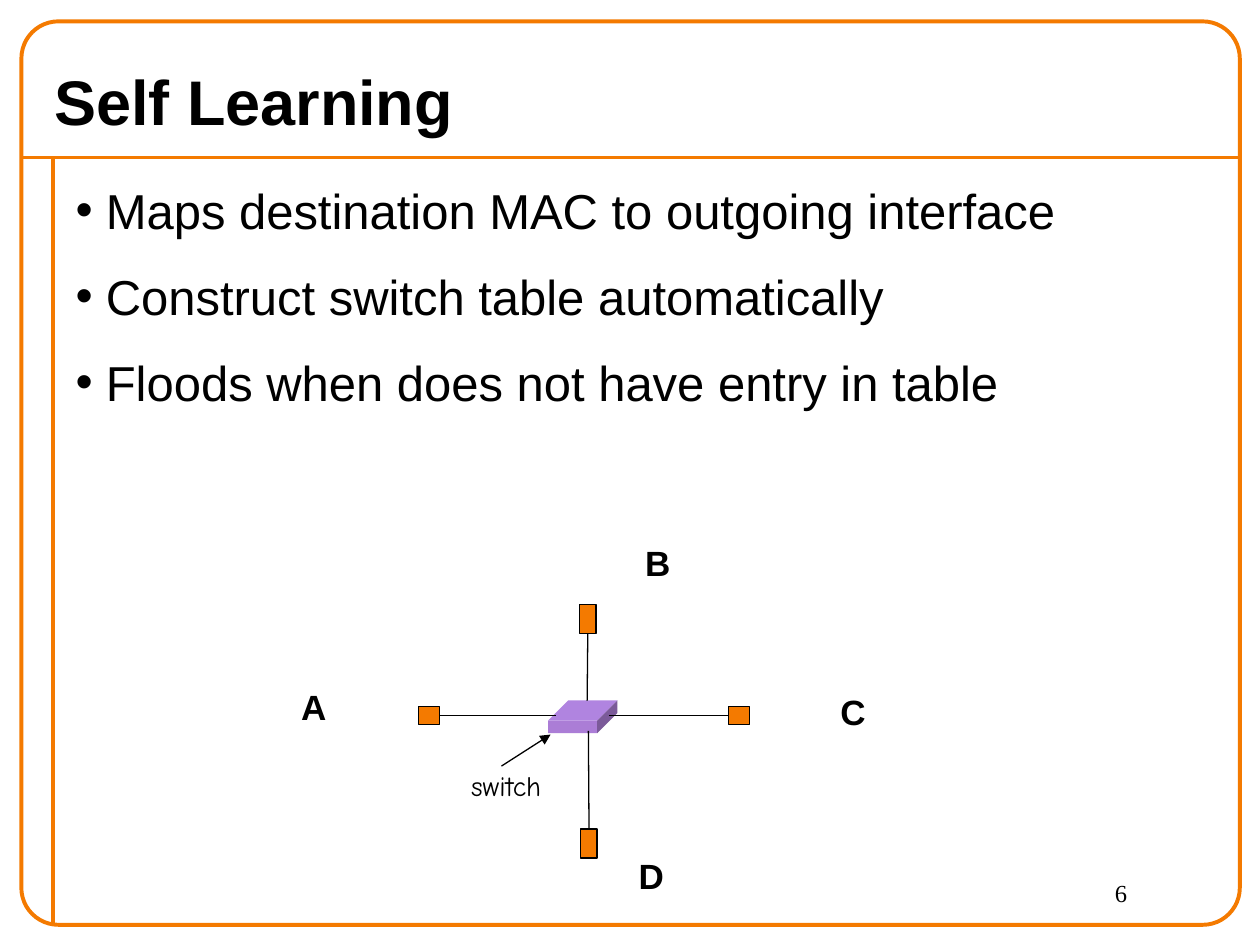
from pptx import Presentation, util as u
from pptx.dml import color
from pptx.enum import shapes, text
from pptx.oxml import parse_xml
from pptx.oxml import ns

ORANGE, BLACK = "F47A00", "000000"
BOTTOM, LEFT, TOP, RIGHT = 2, 1, 0, 3


def rgb(value):
    return color.RGBColor.from_string(value)


class SlideBuilder:
    font = "Arial"

    def __init__(self, slide):
        self.slide = slide

    def add_run(self, paragraph, words, size, bold=False, font=None):
        run = paragraph.add_run()
        run.text = words
        run.font.name = font or self.font
        run.font.size = u.Pt(size)
        run.font.bold = bold
        run.font.color.rgb = rgb(BLACK)

    def place(self, shape, left, top, width, height):
        shape.left, shape.top = u.Inches(left), u.Inches(top)
        shape.width, shape.height = u.Inches(width), u.Inches(height)

    def paint(self, shape, fill=None, line=None, width=0.75):
        shape.shadow.inherit = False
        if fill:
            shape.fill.solid()
            shape.fill.fore_color.rgb = rgb(fill)
        else:
            shape.fill.background()
        if line:
            shape.line.color.rgb = rgb(line)
            shape.line.width = u.Pt(width)
        else:
            shape.line.fill.background()

    def title(self, words, box):
        title = self.slide.shapes.title
        self.place(title, *box)
        frame = title.text_frame
        frame.auto_size = text.MSO_AUTO_SIZE.NONE
        frame.vertical_anchor = text.MSO_ANCHOR.MIDDLE
        paragraph = frame.paragraphs[0]
        paragraph.alignment = text.PP_ALIGN.LEFT
        self.add_run(paragraph, words, 36, bold=True)

    def bullets(self, lines, box):
        body = self.slide.placeholders[1]
        self.place(body, *box)
        frame = body.text_frame
        frame.auto_size = text.MSO_AUTO_SIZE.NONE
        frame.margin_top = u.Inches(0.1)
        for index, words in enumerate(lines):
            paragraph = frame.add_paragraph() if index else frame.paragraphs[0]
            properties = paragraph._p.get_or_add_pPr()
            properties.set("marL", str(u.Inches(0.24)))
            properties.set("indent", str(-u.Inches(0.24)))
            properties.append(parse_xml(f'<a:buChar {ns.nsdecls("a")} char="•"/>'))
            paragraph.space_before = u.Pt(15.5 if index else 0)
            self.add_run(paragraph, words, 28)

    def label(self, words, box, size=20, bold=True, font=None, centered=True, wrap=False):
        frame = self.slide.shapes.add_textbox(*map(u.Inches, box)).text_frame
        frame.word_wrap = wrap
        paragraph = frame.paragraphs[0]
        paragraph.alignment = text.PP_ALIGN.CENTER if centered else text.PP_ALIGN.LEFT
        self.add_run(paragraph, words, size, bold, font)

    def box(self, kind, box, **style):
        shape = self.slide.shapes.add_shape(kind, *map(u.Inches, box))
        self.paint(shape, **style)
        return shape

    def polygon(self, points, fill):
        corners = [(u.Inches(x), u.Inches(y)) for x, y in points]
        builder = self.slide.shapes.build_freeform(*corners[0])
        builder.add_line_segments(corners[1:], close=True)
        self.paint(builder.convert_to_shape(), fill=fill)

    def line(self, start, end, stroke=BLACK, width=0.75, arrow=False):
        connector = self.slide.shapes.add_connector(
            shapes.MSO_CONNECTOR.STRAIGHT, *map(u.Inches, (*start, *end)))
        connector.line.color.rgb = rgb(stroke)
        connector.line.width = u.Pt(width)
        if arrow:
            connector.line._get_or_add_ln().append(
                parse_xml(f'<a:tailEnd {ns.nsdecls("a")} type="triangle"/>'))
        connector._element.spPr.append(parse_xml(f'<a:effectLst {ns.nsdecls("a")}/>'))
        return connector


def main():
    presentation = Presentation()
    presentation.slide_width, presentation.slide_height = u.Inches(10), u.Inches(7.5)
    builder = SlideBuilder(presentation.slides.add_slide(presentation.slide_layouts[1]))

    # Frame and rules
    builder.line((0.17, 1.25), (9.83, 1.25), ORANGE, 2.25)
    builder.line((0.42, 1.25), (0.42, 7.33), ORANGE, 2.25)
    frame = builder.box(shapes.MSO_SHAPE.ROUNDED_RECTANGLE, (0.17, 0.17, 9.67, 7.17),
                        line=ORANGE, width=2.25)
    frame.adjustments[0] = 0.041

    # Title, list and page number
    builder.title("Self Learning", (0.33, 0.42, 9.42, 0.75))
    builder.bullets(["Maps destination MAC to outgoing interface",
                     "Construct switch table automatically",
                     "Floods when does not have entry in table"], (0.5, 1.33, 9.25, 6))
    builder.label("6", (8.75, 6.92, 1, 0.42), 14, False, "Times New Roman",
                  centered=False, wrap=True)

    # Switch: front, top and side faces
    left, right, top, bottom = 4.35, 4.74, 5.72, 5.82
    depth = 0.16
    builder.box(shapes.MSO_SHAPE.RECTANGLE, (left, top, right - left, bottom - top),
                fill="AB7DD6")
    builder.polygon([(left, top), (left + depth, top - depth),
                     (right + depth, top - depth), (right, top)], "B084E0")
    builder.polygon([(right, top), (right + depth, top - depth),
                     (right + depth, bottom - depth), (right, bottom)], "7B5A99")

    # Hosts: name, label place, box, joined side, line end at the switch
    hosts = [
        ("A", (2.29, 5.39), (3.32, 5.61, 0.17, 0.14), RIGHT, (4.41, 5.68)),
        ("B", (5.02, 4.25), (4.6, 4.8, 0.13, 0.23), BOTTOM, (4.66, 5.56)),
        ("C", (6.57, 5.43), (5.78, 5.61, 0.17, 0.14), LEFT, (4.83, 5.68)),
        ("D", (4.97, 6.73), (4.61, 6.58, 0.13, 0.23), TOP, (4.67, 5.8)),
    ]
    for name, label_place, box, side, switch_end in hosts:
        host = builder.box(shapes.MSO_SHAPE.RECTANGLE, box, fill=ORANGE, line=BLACK)
        link = builder.line(box[:2], switch_end)
        link.begin_connect(host, side)
        builder.label(name, (*label_place, 0.4, 0.43))

    # Switch caption
    builder.label("switch", (3.64, 6.05, 0.87, 0.37), 16, False, "Comic Neue", centered=False)
    builder.line((3.98, 6.08), (4.37, 5.83), arrow=True)

    presentation.save("out.pptx")


if __name__ == "__main__":
    main()
